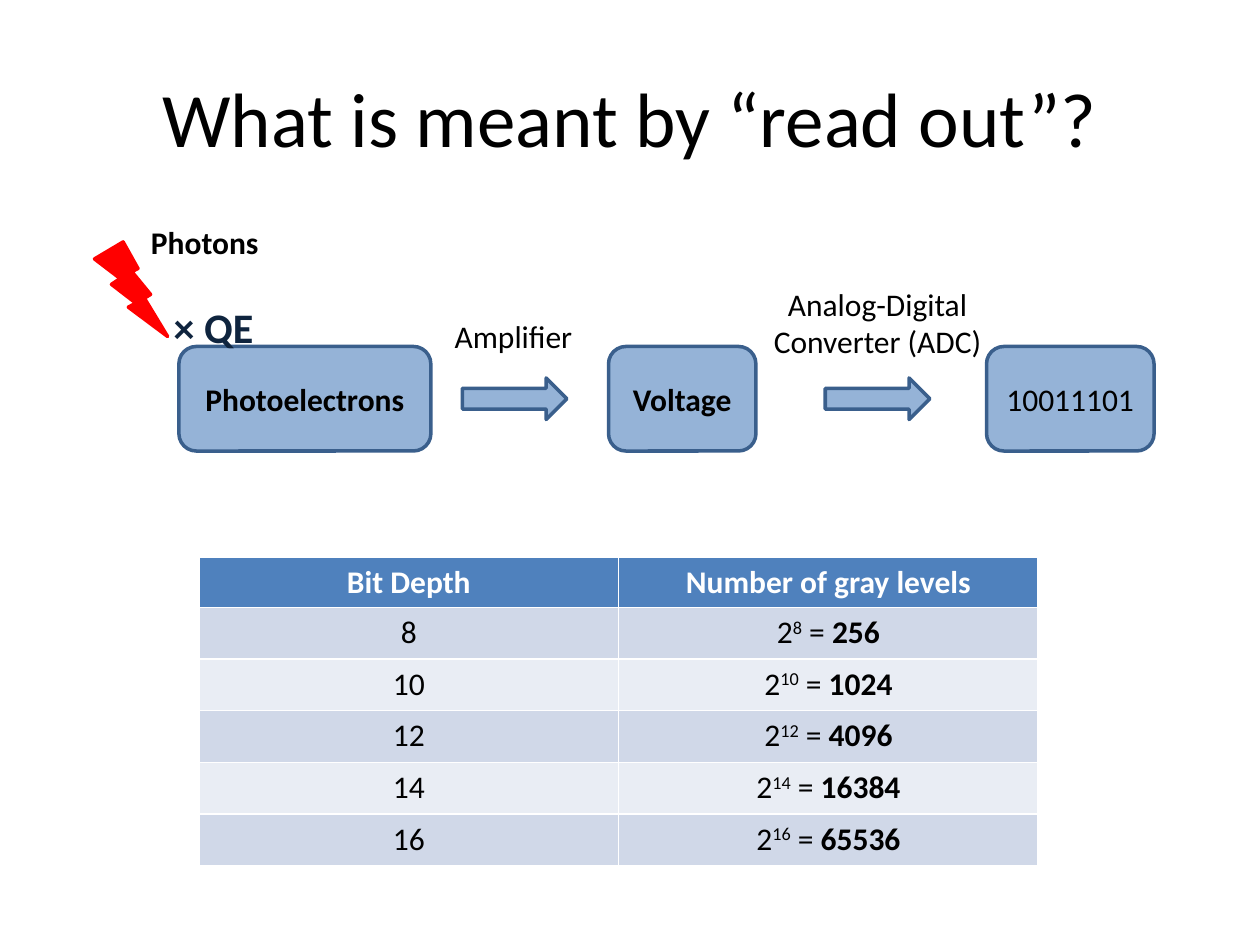
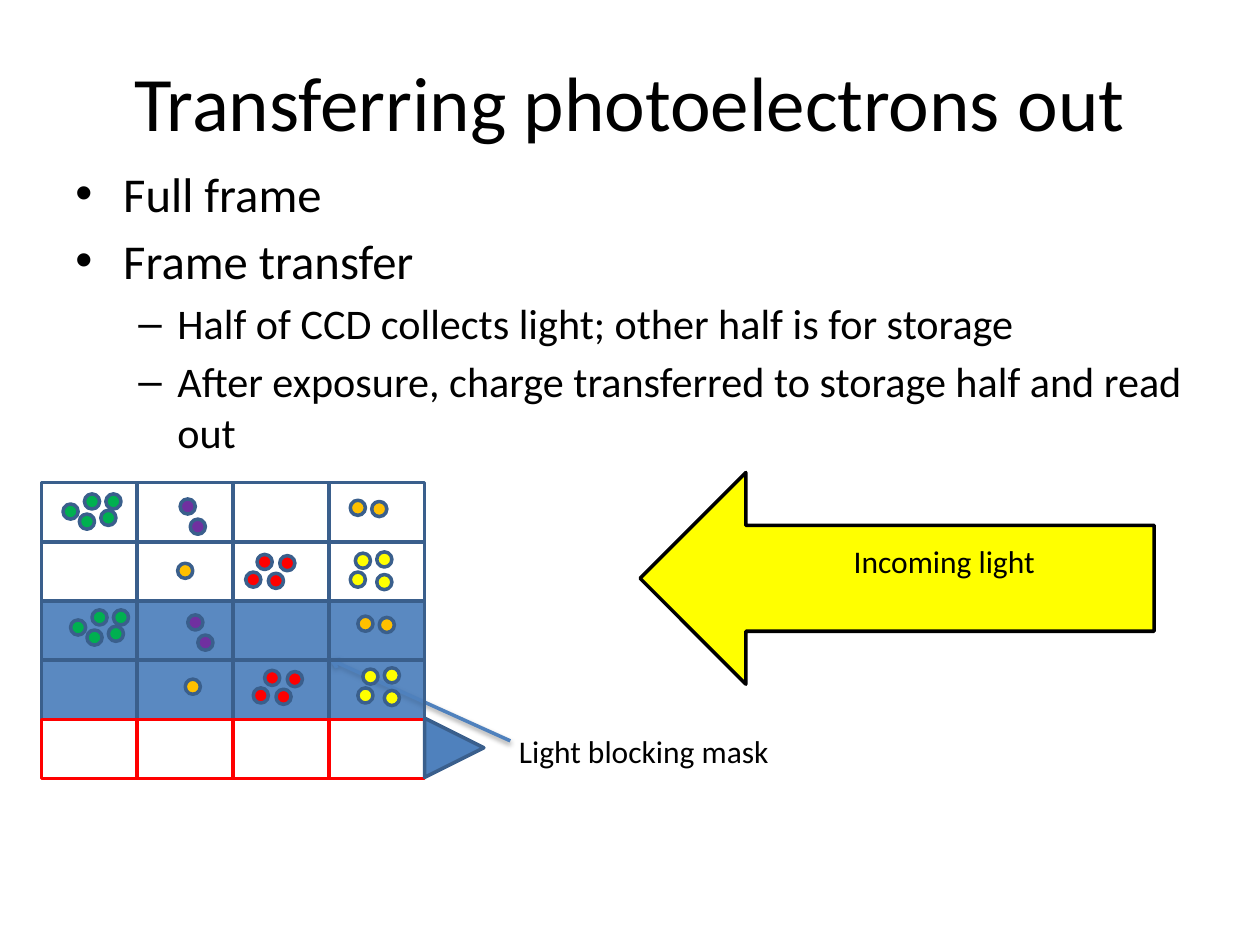
from dataclasses import dataclass
from typing import Optional

from lxml import etree
from pptx import Presentation
from pptx.dml.color import RGBColor
from pptx.enum.shapes import MSO_CONNECTOR, MSO_SHAPE
from pptx.enum.text import MSO_ANCHOR, MSO_AUTO_SIZE, PP_ALIGN
from pptx.oxml.ns import qn
from pptx.util import Inches, Pt

LEFT, CENTER = PP_ALIGN.LEFT, PP_ALIGN.CENTER
MIDDLE = MSO_ANCHOR.MIDDLE
RECTANGLE, OVAL = MSO_SHAPE.RECTANGLE, MSO_SHAPE.OVAL

BLACK = RGBColor(0x00, 0x00, 0x00)
WHITE = RGBColor(0xFF, 0xFF, 0xFF)
NAVY = RGBColor(0x0F, 0x24, 0x3E)
BLUE = RGBColor(0x4F, 0x81, 0xBD)
LIGHT_BLUE = RGBColor(0x95, 0xB3, 0xD7)
OUTLINE = RGBColor(0x3A, 0x5F, 0x8C)
BAND_DARK = RGBColor(0xD0, 0xD8, 0xE8)
BAND_LIGHT = RGBColor(0xE9, 0xED, 0xF4)
RED = RGBColor(0xFF, 0x00, 0x00)
YELLOW = RGBColor(0xFF, 0xFF, 0x00)
ORANGE = RGBColor(0xFF, 0xC0, 0x00)
GREEN = RGBColor(0x00, 0xB0, 0x50)
PURPLE = RGBColor(0x70, 0x30, 0xA0)

FONT = "Calibri"
LINE_WIDTH = Pt(2)
BIT_DEPTHS = (8, 10, 12, 14, 16)

GRID_LEFT, GRID_TOP = 0.33, 3.83
CELL_WIDTH, CELL_HEIGHT = 0.76, 0.47
COLUMNS = 4
LIGHT_ROWS, STORAGE_ROWS, READOUT_ROWS = range(0, 2), range(2, 4), range(4, 5)
DOT_SIZE = 0.12
TRANSFER_SHIFT = (0.06, 0.92)


@dataclass(frozen=True)
class Area:
    left: float
    top: float
    width: float
    height: float

    def lengths(self) -> tuple:
        return tuple(Inches(v) for v in (self.left, self.top, self.width, self.height))


@dataclass(frozen=True)
class Label:
    text: str
    area: Area
    size: float = 18
    color: RGBColor = BLACK
    bold: bool = False
    align: PP_ALIGN = LEFT
    wrap: bool = False


@dataclass(frozen=True)
class Stage:
    text: str
    area: Area
    bold: bool = True


@dataclass(frozen=True)
class Bullet:
    text: str
    symbol: str
    level: int
    size: float
    margin: float
    hanging: float
    space_before: float


@dataclass(frozen=True)
class Charge:
    color: RGBColor
    corners: tuple


STAGES = (
    Stage("Photoelectrons", Area(1.42, 2.75, 2, 0.83)),
    Stage("Voltage", Area(4.83, 2.75, 1.17, 0.83)),
    Stage("10011101", Area(7.83, 2.75, 1.33, 0.83), bold=False),
)
STAGE_LABELS = (
    Label("Amplifier", Area(3.51, 2.47, 1.15, 0.4)),
    Label("Analog-Digital\nConverter (ADC)", Area(6.03, 2.21, 1.87, 0.71), align=CENTER),
    Label("× QE", Area(1.28, 2.34, 0.84, 0.5), size=24, color=NAVY, bold=True),
    Label("Photons", Area(1.1, 1.72, 1.06, 0.4), bold=True),
)
BULLETS = (
    Bullet("Full frame", "•", 0, 27.8, 0.38, 0.38, 0),
    Bullet("Frame transfer", "•", 0, 27.8, 0.38, 0.38, 5),
    Bullet("Half of CCD collects light; other half is for storage",
           "–", 1, 24.1, 0.81, 0.31, 4.5),
    Bullet("After exposure, charge transferred to storage half and read out",
           "–", 1, 24.1, 0.81, 0.31, 4.5),
)
CHARGES = (
    Charge(ORANGE, ((2.78, 3.97), (2.95, 3.98), (1.41, 4.47))),
    Charge(YELLOW, ((2.78, 4.54), (2.82, 4.39), (2.99, 4.56), (2.99, 4.38))),
    Charge(GREEN, ((0.67, 3.92), (0.8, 4.05), (0.84, 3.92), (0.5, 4), (0.63, 4.08))),
    Charge(PURPLE, ((1.51, 4.12), (1.43, 3.96))),
    Charge(RED, ((2.13, 4.55), (1.95, 4.54), (2.04, 4.4), (2.22, 4.41))),
)


def style_span(span, size: float, color: RGBColor = BLACK, bold: bool = False) -> None:
    span.font.name = FONT
    span.font.size = Pt(size)
    span.font.color.rgb = color
    span.font.bold = bold


def write(frame, text: str, size: float, color: RGBColor = BLACK,
          bold: bool = False, align: PP_ALIGN = CENTER) -> None:
    frame.text = text
    for para in frame.paragraphs:
        para.alignment = align
        for span in para.runs:
            style_span(span, size, color, bold)


def add_title(page, text: str, top: float) -> None:
    box = page.shapes.add_textbox(*Area(0.5, top, 9, 1.25).lengths())
    box.text_frame.word_wrap = True
    box.text_frame.vertical_anchor = MIDDLE
    write(box.text_frame, text, 44)


def add_label(page, label: Label) -> None:
    box = page.shapes.add_textbox(*label.area.lengths())
    box.text_frame.word_wrap = label.wrap
    box.text_frame.auto_size = MSO_AUTO_SIZE.SHAPE_TO_FIT_TEXT
    write(box.text_frame, label.text, label.size, label.color, label.bold, label.align)


def add_figure(page, kind: MSO_SHAPE, area: Area, fill: Optional[RGBColor],
               outline: RGBColor = OUTLINE):
    figure = page.shapes.add_shape(kind, *area.lengths())
    figure.shadow.inherit = False
    if fill is None:
        figure.fill.background()
    else:
        figure.fill.solid()
        figure.fill.fore_color.rgb = fill
    figure.line.color.rgb = outline
    figure.line.width = LINE_WIDTH
    return figure


def add_gray_level_table(page) -> None:
    frame = page.shapes.add_table(len(BIT_DEPTHS) + 1, 2,
                                  *Area(1.58, 4.42, 6.67, 2.43).lengths())
    table = frame.table
    for column in table.columns:
        column.width = Inches(3.33)
    for row in table.rows:
        row.height = Inches(0.41)
    table.rows[0].height = Inches(0.4)

    for cell, heading in zip(table.rows[0].cells, ("Bit Depth", "Number of gray levels")):
        cell.fill.solid()
        cell.fill.fore_color.rgb = BLUE
        write(cell.text_frame, heading, 18, WHITE, bold=True)

    for index, depth in enumerate(BIT_DEPTHS):
        depth_cell, level_cell = table.rows[index + 1].cells
        for cell in (depth_cell, level_cell):
            cell.fill.solid()
            cell.fill.fore_color.rgb = BAND_LIGHT if index % 2 else BAND_DARK
        write(depth_cell.text_frame, str(depth), 18)
        para = level_cell.text_frame.paragraphs[0]
        para.alignment = CENTER
        for text in ("2", str(depth), " = ", str(2 ** depth)):
            span = para.add_run()
            span.text = text
            style_span(span, 18)
        para.runs[1].font._element.set("baseline", "30000")
        para.runs[-1].font.bold = True


def add_bullets(page) -> None:
    box = page.shapes.add_textbox(*Area(0.5, 1.25, 9, 2.33).lengths())
    frame = box.text_frame
    frame.word_wrap = True
    for index, bullet in enumerate(BULLETS):
        para = frame.add_paragraph() if index else frame.paragraphs[0]
        para.text = bullet.text
        para.level = bullet.level
        para.space_before = Pt(bullet.space_before)
        properties = para._p.get_or_add_pPr()
        properties.set("marL", str(Inches(bullet.margin)))
        properties.set("indent", str(-Inches(bullet.hanging)))
        etree.SubElement(properties, qn("a:buFont"), typeface="Arial")
        etree.SubElement(properties, qn("a:buChar"), char=bullet.symbol)
        style_span(para.runs[0], bullet.size)


def add_cells(page, rows: range, outline: RGBColor = OUTLINE, masked: bool = False) -> None:
    """Draw sensor cells; masked ones get a 60% opaque blue fill."""
    for row in rows:
        for column in range(COLUMNS):
            area = Area(GRID_LEFT + column * CELL_WIDTH, GRID_TOP + row * CELL_HEIGHT,
                        CELL_WIDTH, CELL_HEIGHT)
            cell = add_figure(page, RECTANGLE, area, BLUE if masked else None, outline)
            if masked:
                color = cell._element.spPr.find(qn("a:solidFill"))[0]
                etree.SubElement(color, qn("a:alpha"), val="60000")


def add_charges(page, shift: tuple = (0, 0)) -> None:
    for charge in CHARGES:
        for left, top in charge.corners:
            area = Area(left + shift[0], top + shift[1], DOT_SIZE, DOT_SIZE)
            add_figure(page, OVAL, area, charge.color)


def add_mask_pointer(page) -> None:
    pointer = page.shapes.add_connector(MSO_CONNECTOR.STRAIGHT, Inches(4.05), Inches(5.88),
                                        Inches(2.61), Inches(5.23))
    pointer.line.color.rgb = BLUE
    pointer.line.width = LINE_WIDTH
    etree.SubElement(pointer.line._get_or_add_ln(), qn("a:tailEnd"), type="arrow")
    effects = etree.SubElement(pointer._element.spPr, qn("a:effectLst"))
    shadow = etree.SubElement(effects, qn("a:outerShdw"), blurRad=str(Pt(3.1)),
                              dist=str(Pt(1.6)), dir="5400000", rotWithShape="0")
    color = etree.SubElement(shadow, qn("a:srgbClr"), val=str(BLACK))
    etree.SubElement(color, qn("a:alpha"), val="38000")


def build_read_out(page) -> None:
    add_title(page, "What is meant by “read out”?", 0.3)
    add_gray_level_table(page)
    for stage in STAGES:
        box = add_figure(page, MSO_SHAPE.ROUNDED_RECTANGLE, stage.area, LIGHT_BLUE)
        box.text_frame.vertical_anchor = MIDDLE
        write(box.text_frame, stage.text, 18, bold=stage.bold)
    for left in (3.67, 6.55):
        add_figure(page, MSO_SHAPE.RIGHT_ARROW, Area(left, 3, 0.83, 0.33), LIGHT_BLUE)
    add_figure(page, MSO_SHAPE.LIGHTNING_BOLT, Area(0.75, 1.92, 0.58, 0.75), RED, RED)
    for label in STAGE_LABELS:
        add_label(page, label)


def build_transfer(page) -> None:
    add_title(page, "Transferring photoelectrons out", 0.17)
    add_bullets(page)
    add_figure(page, MSO_SHAPE.LEFT_ARROW, Area(5.08, 3.75, 4.08, 1.68), YELLOW, BLACK)
    add_label(page, Label("Incoming light", Area(5.83, 4.25, 3.33, 0.4),
                          align=CENTER, wrap=True))
    for _ in range(2):
        add_cells(page, STORAGE_ROWS, masked=True)
    add_charges(page)
    add_label(page, Label("Light blocking mask", Area(4.02, 5.76, 2.3, 0.4), wrap=True))
    add_mask_pointer(page)
    add_cells(page, LIGHT_ROWS)
    add_cells(page, STORAGE_ROWS, masked=True)
    add_cells(page, READOUT_ROWS, RED)
    amplifier = add_figure(page, MSO_SHAPE.ISOSCELES_TRIANGLE,
                           Area(3.37, 5.7, CELL_HEIGHT, CELL_HEIGHT), BLUE)
    amplifier.rotation = 90
    add_charges(page, TRANSFER_SHIFT)


def main() -> None:
    deck = Presentation()
    deck.slide_width, deck.slide_height = Inches(10), Inches(7.5)
    blank = deck.slide_layouts[6]
    for build in (build_read_out, build_transfer):
        build(deck.slides.add_slide(blank))
    deck.save("out.pptx")


if __name__ == "__main__":
    main()
